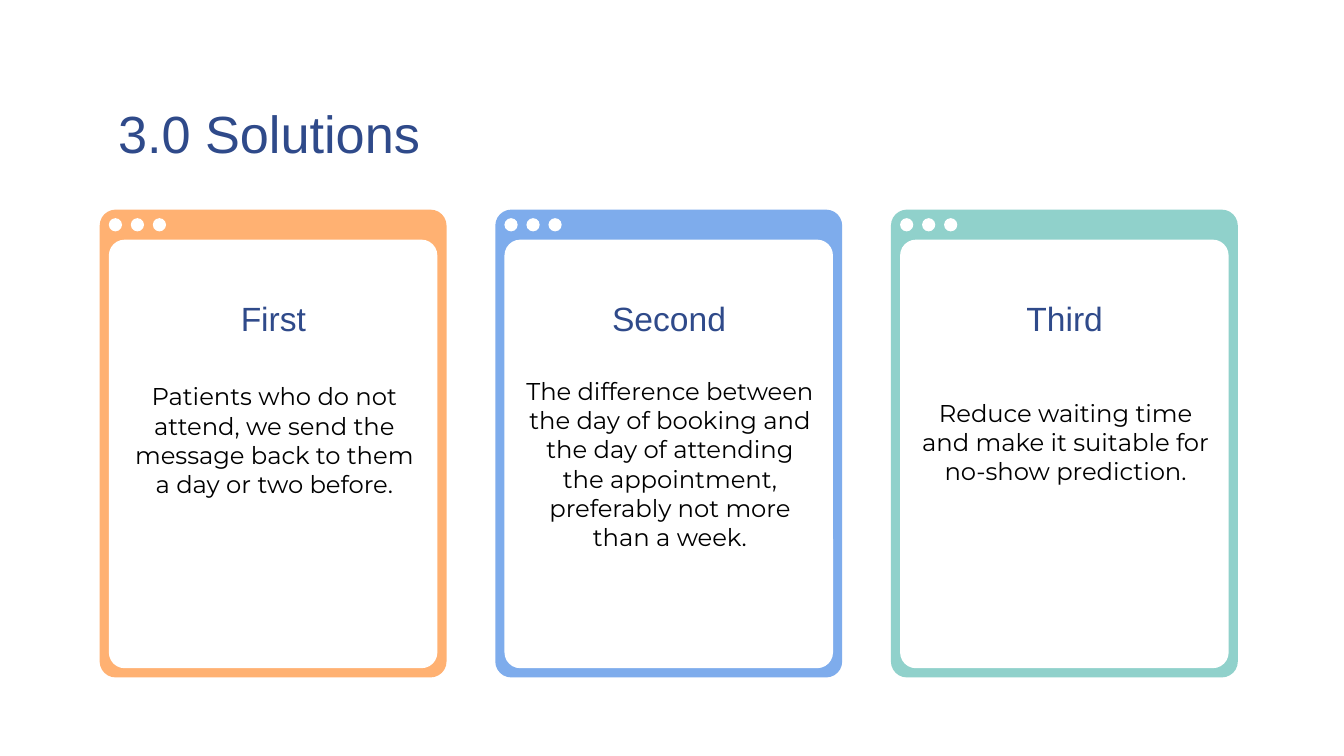
from pptx import Presentation
from pptx.dml.color import RGBColor
from pptx.enum.shapes import MSO_SHAPE
from pptx.enum.text import MSO_ANCHOR, PP_ALIGN
from pptx.util import Pt

NAVY, BLACK, WHITE = "2F4A8A", "000000", "FFFFFF"
CARD_LEFT, CARD_TOP, CARD_PITCH = 53.4, 112.3, 211.95
CARD_WIDTH, CARD_HEIGHT = 185.8, 250.6
BORDER, BAR_HEIGHT = 4.9, 16.1
DOT_SIZE, DOT_PITCH, DOT_COUNT = 7.1, 11.8, 3
CARDS = [
    ("First", "FFB172", 197.3, 79.9,
     "Patients who do not attend, we send the message back to them a day or two before."),
    ("Second", "7EACEC", 194.4, 105.8,
     "The difference between the day of booking and the day of attending the appointment, "
     "preferably not more than a week."),
    ("Third", "90D1CB", 205.9, 60.5,
     "Reduce waiting time and make it suitable for no-show prediction."),
]


def color(hex_string):
    return RGBColor.from_string(hex_string)


def add_filled(shapes, preset, left, top, width, height, fill, radius=None):
    shape = shapes.add_shape(preset, Pt(left), Pt(top), Pt(width), Pt(height))
    shape.shadow.inherit = False
    shape.fill.solid()
    shape.fill.fore_color.rgb = color(fill)
    shape.line.fill.background()
    if radius is not None:
        shape.adjustments[0] = radius


def add_window(slide, left, fill):
    window = slide.shapes.add_group_shape().shapes
    add_filled(window, MSO_SHAPE.ROUNDED_RECTANGLE, left, CARD_TOP,
               CARD_WIDTH, CARD_HEIGHT, fill, 0.046)
    add_filled(window, MSO_SHAPE.ROUNDED_RECTANGLE, left + BORDER, CARD_TOP + BAR_HEIGHT,
               CARD_WIDTH - 2 * BORDER, CARD_HEIGHT - BAR_HEIGHT - BORDER, WHITE, 0.048)
    for dot in range(DOT_COUNT):
        add_filled(window, MSO_SHAPE.OVAL, left + BORDER + dot * DOT_PITCH,
                   CARD_TOP + 4.6, DOT_SIZE, DOT_SIZE, WHITE)


def add_text(slide, left, top, width, height, words, size, font, ink,
             align=PP_ALIGN.CENTER, anchor=MSO_ANCHOR.TOP, inset_top=7.2, space_after=0):
    box = slide.shapes.add_textbox(Pt(left), Pt(top), Pt(width), Pt(height))
    frame = box.text_frame
    frame.word_wrap = True
    frame.vertical_anchor = anchor
    frame.margin_left = frame.margin_right = frame.margin_bottom = Pt(7.2)
    frame.margin_top = Pt(inset_top)
    paragraph = frame.paragraphs[0]
    paragraph.alignment = align
    paragraph.space_after = Pt(space_after)
    run = paragraph.add_run()
    run.text = words
    run.font.size = Pt(size)
    run.font.name = font
    run.font.color.rgb = color(ink)


def main():
    """Build the slide of three solution cards and save it."""
    deck = Presentation()
    deck.slide_width, deck.slide_height = Pt(720), Pt(405)
    slide = deck.slides.add_slide(deck.slide_layouts[6])
    slide.background.fill.solid()
    slide.background.fill.fore_color.rgb = color(WHITE)

    add_text(slide, 56.2, 43.2, 607.7, 36.7, "3.0 Solutions", 28, "Arial", NAVY,
             align=PP_ALIGN.LEFT, inset_top=10.8)
    for index, (heading, fill, body_top, body_height, body) in enumerate(CARDS):
        left = CARD_LEFT + index * CARD_PITCH
        add_window(slide, left, fill)
        add_text(slide, left + 7.8, 151.9, 170.6, 36.7, heading, 18, "Arial", NAVY,
                 anchor=MSO_ANCHOR.BOTTOM)
        add_text(slide, left + 8.2, body_top, 170.6, body_height, body, 13,
                 "Montserrat", BLACK, space_after=12)
    deck.save("out.pptx")


if __name__ == "__main__":
    main()
